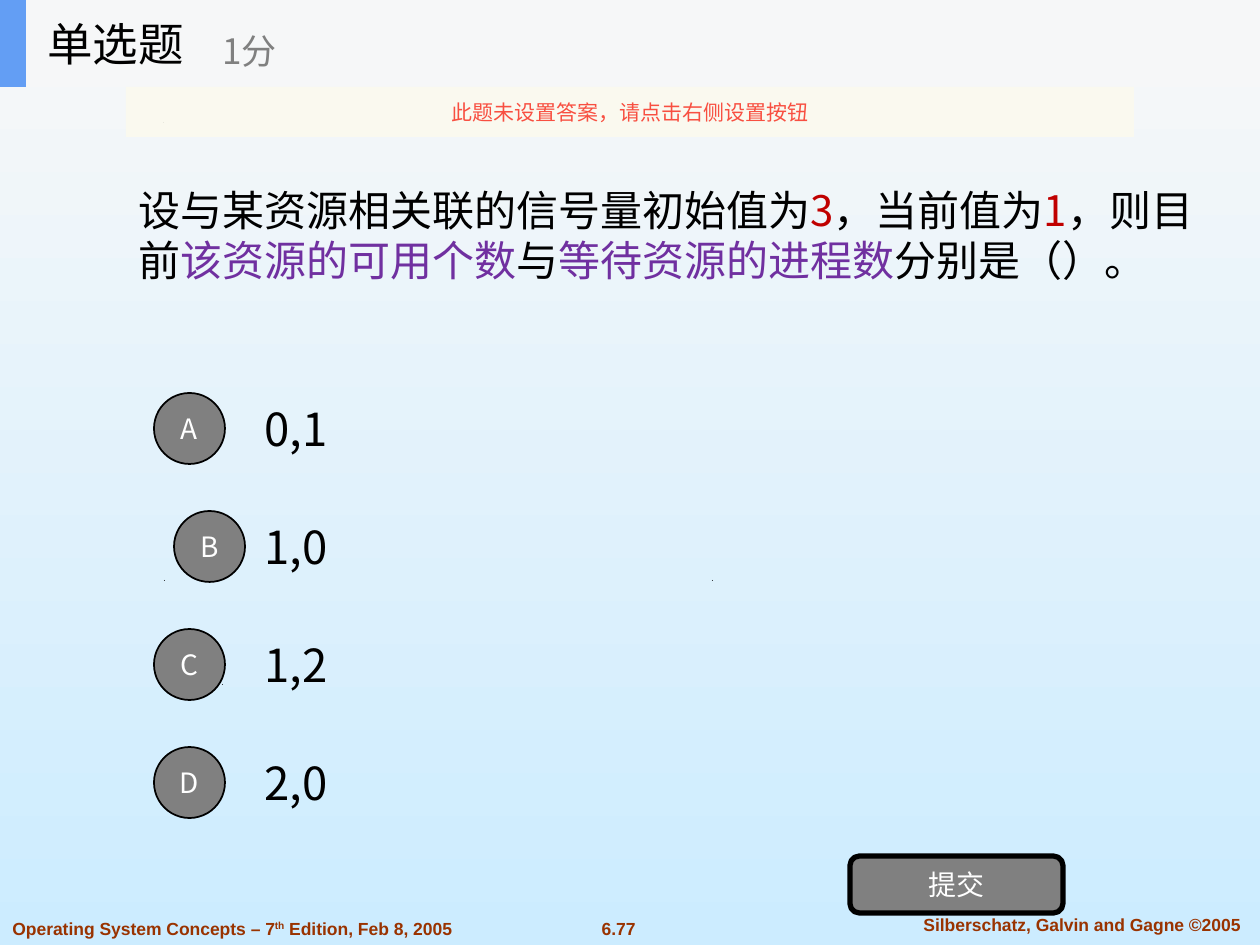
from dataclasses import dataclass

from lxml.etree import SubElement
from pptx import Presentation
from pptx.dml.color import RGBColor
from pptx.enum.shapes import MSO_SHAPE as Preset
from pptx.enum.text import MSO_ANCHOR as Anchor, MSO_AUTO_SIZE as AutoSize, PP_ALIGN as Align
from pptx.oxml.ns import qn
from pptx.util import Emu, Pt

SCALE = 914400 / 126
CJK = "Noto Sans CJK SC"
BLACK = RGBColor(0x00, 0x00, 0x00)
WHITE = RGBColor(0xFF, 0xFF, 0xFF)
GRAY = RGBColor(0x80, 0x80, 0x80)
RED = RGBColor(0xC0, 0x00, 0x00)
PURPLE = RGBColor(0x70, 0x30, 0xA0)
BROWN = RGBColor(0x99, 0x33, 0x00)
BLUE = RGBColor(0x63, 0x9E, 0xF4)
HEADER = RGBColor(0xF6, 0xF7, 0xF8)
CREAM = RGBColor(0xFB, 0xFA, 0xEF)
CORAL = RGBColor(0xF8, 0x4F, 0x41)
SKY_TOP = RGBColor(0xF8, 0xF8, 0xF8)
SKY_BOTTOM = RGBColor(0xCC, 0xEC, 0xFF)


@dataclass(frozen=True)
class Area:
    """A rectangle in px."""
    left: int
    top: int
    width: int
    height: int

    def emu(self) -> tuple[Emu, ...]:
        """Return the rectangle in EMU."""
        return tuple(Emu(round(side * SCALE))
                     for side in (self.left, self.top, self.width, self.height))


@dataclass(frozen=True)
class Style:
    """The look of a piece of text."""
    size: int
    color: RGBColor
    face: str = CJK
    bold: bool = False


@dataclass(frozen=True)
class Option:
    """One answer of the question."""
    letter: str
    answer: str
    badge_left: int = 154


OPTION_TOP, OPTION_PITCH = 384, 118
OPTIONS = [Option("A", "0,1"), Option("B", "1,0", 174), Option("C", "1,2"), Option("D", "2,0")]
QUESTION = [
    ("设与某资源相关联的信号量初始值为", BLACK), ("3", RED), ("，当前值为", BLACK), ("1", RED),
    ("，则目前", BLACK), ("该资源的可用个数", PURPLE), ("与", BLACK),
    ("等待资源的进程数", PURPLE), ("分别是（）。", BLACK),
]
SPECKS = [(222, 684), (164, 580), (712, 580), (163, 122)]
FOOTER = Style(10, BROWN, "Arial", True)
BUTTON = Style(16, WHITE)


def format_span(span, style: Style) -> None:
    """Apply a style to a run."""
    font = span.font
    font.size, font.bold, font.name = Pt(style.size), style.bold, style.face
    font.color.rgb = style.color
    SubElement(font._element, qn("a:ea")).set("typeface", style.face)


def write(shape, words: str, style: Style, align=Align.LEFT, anchor=Anchor.MIDDLE) -> None:
    """Put one styled paragraph in a shape."""
    frame = shape.text_frame
    frame.text = words
    frame.word_wrap, frame.vertical_anchor = True, anchor
    para = frame.paragraphs[0]
    para.alignment = align
    for span in para.runs:
        format_span(span, style)


def add_text(page, area: Area, words: str, style: Style, align=Align.LEFT, anchor=Anchor.MIDDLE):
    """Add a text box."""
    box = page.shapes.add_textbox(*area.emu())
    write(box, words, style, align, anchor)
    return box


def add_block(page, preset, area: Area, fill: RGBColor, line: int = 0):
    """Add a filled preset shape, outlined when line is given in points."""
    block = page.shapes.add_shape(preset, *area.emu())
    block.shadow.inherit = False
    block.fill.solid()
    block.fill.fore_color.rgb = fill
    if line:
        block.line.color.rgb, block.line.width = BLACK, Pt(line)
    else:
        block.line.fill.background()
    return block


def add_speck(page, left: int, top: int) -> None:
    """Add a one px ink speck."""
    builder = page.shapes.build_freeform(left, top + 1, scale=SCALE)
    builder.add_line_segments([(left + 1, top), (left + 1, top + 1)], close=True)
    speck = builder.convert_to_shape()
    speck.shadow.inherit = False
    speck.fill.solid()
    speck.fill.fore_color.rgb = BLACK
    speck.line.fill.background()


def add_background(page) -> None:
    """Fill the page with a vertical gradient."""
    fill = page.background.fill
    fill.gradient()
    fill.gradient_angle = 270
    for stop, color in zip(fill.gradient_stops, (SKY_TOP, SKY_BOTTOM)):
        stop.color.rgb = color


def add_footer(page) -> None:
    """Add the edition, page number and copyright texts."""
    add_text(page, Area(578, 911, 81, 34), "6.77", FOOTER, Align.CENTER)
    add_text(page, Area(895, 907, 374, 34), "Silberschatz, Galvin and Gagne ©2005",
             FOOTER, Align.CENTER)
    edition = add_text(page, Area(0, 911, 518, 34), "Operating System Concepts – 7", FOOTER)
    para = edition.text_frame.paragraphs[0]
    for words, baseline in (("th", 30000), (" Edition, Feb 8, 2005", 0)):
        span = para.add_run()
        span.text = words
        format_span(span, FOOTER)
        span.font._element.set("baseline", str(baseline))


def fill_question(title) -> None:
    """Write the question in the title placeholder."""
    title.left, title.top, title.width, title.height = Area(126, 87, 1099, 295).emu()
    frame = title.text_frame
    frame.auto_size, frame.word_wrap = AutoSize.NONE, True
    frame.vertical_anchor = Anchor.MIDDLE
    para = frame.paragraphs[0]
    para.alignment = Align.LEFT
    for words, color in QUESTION:
        span = para.add_run()
        span.text = words
        format_span(span, Style(24, color))


def add_options(page) -> None:
    """Add the answers with their letter badges."""
    for index, option in enumerate(OPTIONS):
        top = OPTION_TOP + index * OPTION_PITCH
        add_text(page, Area(252, top, 882, 88), option.answer, Style(26, BLACK))
        badge = add_block(page, Preset.OVAL, Area(option.badge_left, top + 9, 71, 71), GRAY, 1)
        write(badge, option.letter, BUTTON, Align.CENTER)


def add_header(page) -> None:
    """Add the top band with the question type, score and notice."""
    add_block(page, Preset.RECTANGLE, Area(0, 0, 1260, 87), HEADER)
    add_block(page, Preset.RECTANGLE, Area(0, 0, 26, 87), BLUE)
    add_text(page, Area(35, 0, 262, 87), "单选题", Style(26, BLACK))
    add_text(page, Area(210, 15, 315, 71), "1分", Style(20, GRAY))
    notice = add_block(page, Preset.RECTANGLE, Area(126, 87, 1008, 50), CREAM)
    color = notice.fill._xPr.find(qn("a:solidFill"))[0]
    SubElement(color, qn("a:alpha")).set("val", "90000")
    write(notice, "此题未设置答案，请点击右侧设置按钮", Style(12, CORAL), Align.CENTER)


def main() -> None:
    """Build the quiz slide."""
    deck = Presentation()
    deck.slide_width, deck.slide_height = Area(0, 0, 1260, 945).emu()[2:]
    page = deck.slides.add_slide(deck.slide_layouts[5])
    add_background(page)
    fill_question(page.shapes.title)
    add_footer(page)
    for left, top in SPECKS:
        add_speck(page, left, top)
    add_options(page)
    submit = add_block(page, Preset.ROUNDED_RECTANGLE, Area(850, 856, 213, 57), GRAY, 3)
    write(submit, "提交", BUTTON, Align.CENTER)
    add_header(page)
    deck.save("out.pptx")


if __name__ == "__main__":
    main()
